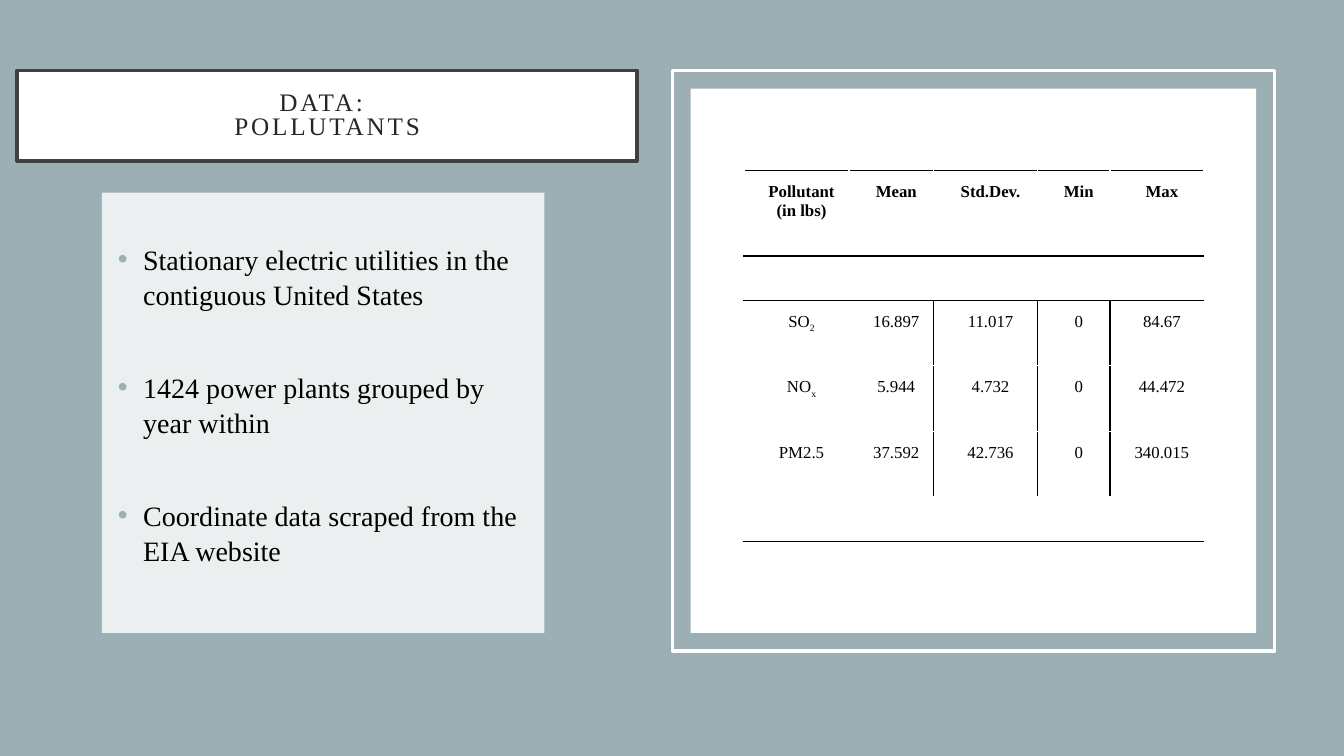
import pptx
import pptx.dml.color
import pptx.enum.shapes
import pptx.enum.text
import pptx.oxml
import pptx.oxml.ns
import pptx.util
from pptx.util import Inches

RGBColor = pptx.dml.color.RGBColor
SLATE = RGBColor(0x9B, 0xAF, 0xB5)
PALE = RGBColor(0xEB, 0xEF, 0xF0)
WHITE = RGBColor(0xFF, 0xFF, 0xFF)
BLACK = RGBColor(0x00, 0x00, 0x00)
FRAME_GRAY = RGBColor(0x40, 0x40, 0x40)
TITLE_GRAY = RGBColor(0x26, 0x26, 0x26)
FONT = "Times New Roman"
CENTER = pptx.enum.text.PP_ALIGN.CENTER
NAMESPACE = pptx.oxml.ns.nsdecls("a")


def format_font(paragraph, size, color, bold=False):
    paragraph.font.name = FONT
    paragraph.font.size = pptx.util.Pt(size)
    paragraph.font.color.rgb = color
    paragraph.font.bold = bold


def add_border(cell, side):
    """Draw a 1 pt black line on one side (L, R, T or B) of a table cell."""
    cell._tc.get_or_add_tcPr().append(pptx.oxml.parse_xml(
        f'<a:ln{side} {NAMESPACE} w="12700"><a:solidFill>'
        f'<a:srgbClr val="{BLACK}"/></a:solidFill></a:ln{side}>'))


presentation = pptx.Presentation()
presentation.slide_width = Inches(13.33)
presentation.slide_height = Inches(7.5)
slide = presentation.slides.add_slide(presentation.slide_layouts[1])
slide.background.fill.solid()
slide.background.fill.fore_color.rgb = SLATE

# Title
title = slide.shapes.title
title.left, title.top = Inches(0.17), Inches(0.7)
title.width, title.height = Inches(6.15), Inches(0.9)
title.fill.solid()
title.fill.fore_color.rgb = WHITE
title.line.color.rgb = FRAME_GRAY
title.line.width = pptx.util.Pt(2.5)
title_frame = title.text_frame
title_frame.text = "DATA: \vPOLLUTANTS"
title_frame.auto_size = pptx.enum.text.MSO_AUTO_SIZE.NONE
title_frame.vertical_anchor = pptx.enum.text.MSO_ANCHOR.MIDDLE
title_frame.margin_left = title_frame.margin_right = Inches(0.3)
title_frame.margin_top = title_frame.margin_bottom = Inches(0.2)
title_paragraph = title_frame.paragraphs[0]
title_paragraph.alignment = CENTER
title_paragraph.line_spacing = 0.8
format_font(title_paragraph, 18, TITLE_GRAY)
for run in title_paragraph.runs:
    run._r.get_or_add_rPr().set("spc", "200")

# Bullet list
body = slide.placeholders[1]
body.left, body.top = Inches(1.01), Inches(1.91)
body.width, body.height = Inches(4.39), Inches(4.37)
body.fill.solid()
body.fill.fore_color.rgb = PALE
body_frame = body.text_frame
body_frame.text = "\n".join([
    "Stationary electric utilities in the contiguous United States",
    "1424 power plants grouped by year within",
    "Coordinate data scraped from the EIA website",
])
body_frame.auto_size = pptx.enum.text.MSO_AUTO_SIZE.NONE
body_frame.vertical_anchor = pptx.enum.text.MSO_ANCHOR.TOP
body_frame.margin_left = Inches(0.16)
body_frame.margin_right = Inches(0.25)
body_frame.margin_top = Inches(0.48)
for index, paragraph in enumerate(body_frame.paragraphs):
    properties = paragraph._p.get_or_add_pPr()
    properties.set("marL", str(Inches(0.25)))
    properties.set("indent", str(-Inches(0.25)))
    for bullet_xml in (
        f'<a:buClr {NAMESPACE}><a:srgbClr val="{SLATE}"/></a:buClr>',
        f'<a:buFont {NAMESPACE} typeface="Arial"/>',
        f'<a:buChar {NAMESPACE} char="•"/>',
    ):
        properties.append(pptx.oxml.parse_xml(bullet_xml))
    paragraph.line_spacing = 1.05
    paragraph.space_before = pptx.util.Pt(41 if index else 0)
    format_font(paragraph, 20, BLACK)

# Framed panel behind the table
rectangle = pptx.enum.shapes.MSO_SHAPE.RECTANGLE
frame = slide.shapes.add_shape(
    rectangle, Inches(6.67), Inches(0.7), Inches(5.97), Inches(5.76))
frame.shadow.inherit = False
frame.fill.background()
frame.line.color.rgb = WHITE
frame.line.width = pptx.util.Pt(2.5)
panel = slide.shapes.add_shape(
    rectangle, Inches(6.85), Inches(0.88), Inches(5.61), Inches(5.4))
panel.shadow.inherit = False
panel.fill.solid()
panel.fill.fore_color.rgb = WHITE
panel.line.fill.background()

# Pollutant table; "_" marks the start of a subscript
EMPTY = [""] * 5
ROWS = [
    ["Pollutant\n(in lbs)", "Mean", "Std.Dev.", "Min", "Max"],
    EMPTY,
    ["SO_2", "16.897", "11.017", "0", "84.67"],
    ["NO_x", "5.944", "4.732", "0", "44.472"],
    ["PM2.5", "37.592", "42.736", "0", "340.015"],
    EMPTY,
    EMPTY,
]
COLUMN_WIDTHS = [1.04, 0.84, 1.03, 0.72, 0.93]
ROW_HEIGHTS = [0.85, 0.44, 0.65, 0.65, 0.65, 0.44, 0.44]
RULED_EDGES = {0, 1, 2, 6}  # row edges that carry a line, counted from the top
DATA_ROWS = range(2, 5)

table = slide.shapes.add_table(
    len(ROWS), len(COLUMN_WIDTHS), Inches(7.38), Inches(1.69),
    Inches(sum(COLUMN_WIDTHS)), Inches(sum(ROW_HEIGHTS))).table
table.first_row = table.horz_banding = False
for column, width in zip(table.columns, COLUMN_WIDTHS):
    column.width = Inches(width)
for row, height in zip(table.rows, ROW_HEIGHTS):
    row.height = Inches(height)

for row_index, row_texts in enumerate(ROWS):
    for column_index, text in enumerate(row_texts):
        cell = table.cell(row_index, column_index)
        cell.margin_left, cell.margin_right = Inches(0.23), Inches(0.13)
        cell.margin_top = cell.margin_bottom = Inches(0.12 if text else 0.02)
        base, _, subscript = text.partition("_")
        cell.text = base
        if subscript:
            run = cell.text_frame.paragraphs[0].add_run()
            run.text = subscript
            run._r.get_or_add_rPr().set("baseline", "-25000")
        for paragraph in cell.text_frame.paragraphs:
            paragraph.alignment = CENTER
            format_font(paragraph, 12, BLACK, bold=row_index == 0)
        is_data = row_index in DATA_ROWS
        borders = {
            "L": is_data and column_index > 1,
            "R": is_data and 0 < column_index < 4,
            "T": row_index in RULED_EDGES,
            "B": row_index + 1 in RULED_EDGES,
        }
        for side, visible in borders.items():
            if visible:
                add_border(cell, side)
        cell.fill.background()

for row_index in (5, 6):
    table.cell(row_index, 0).merge(table.cell(row_index, 4))

presentation.save("out.pptx")
